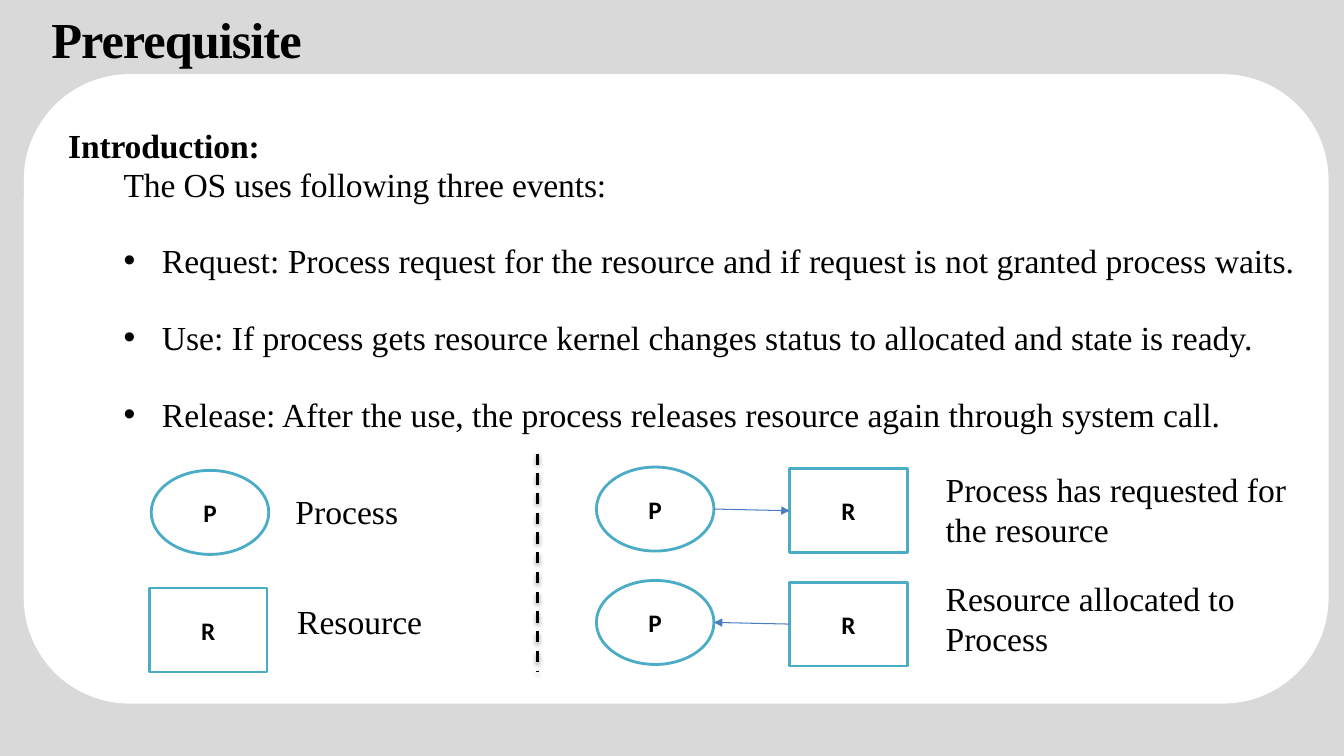
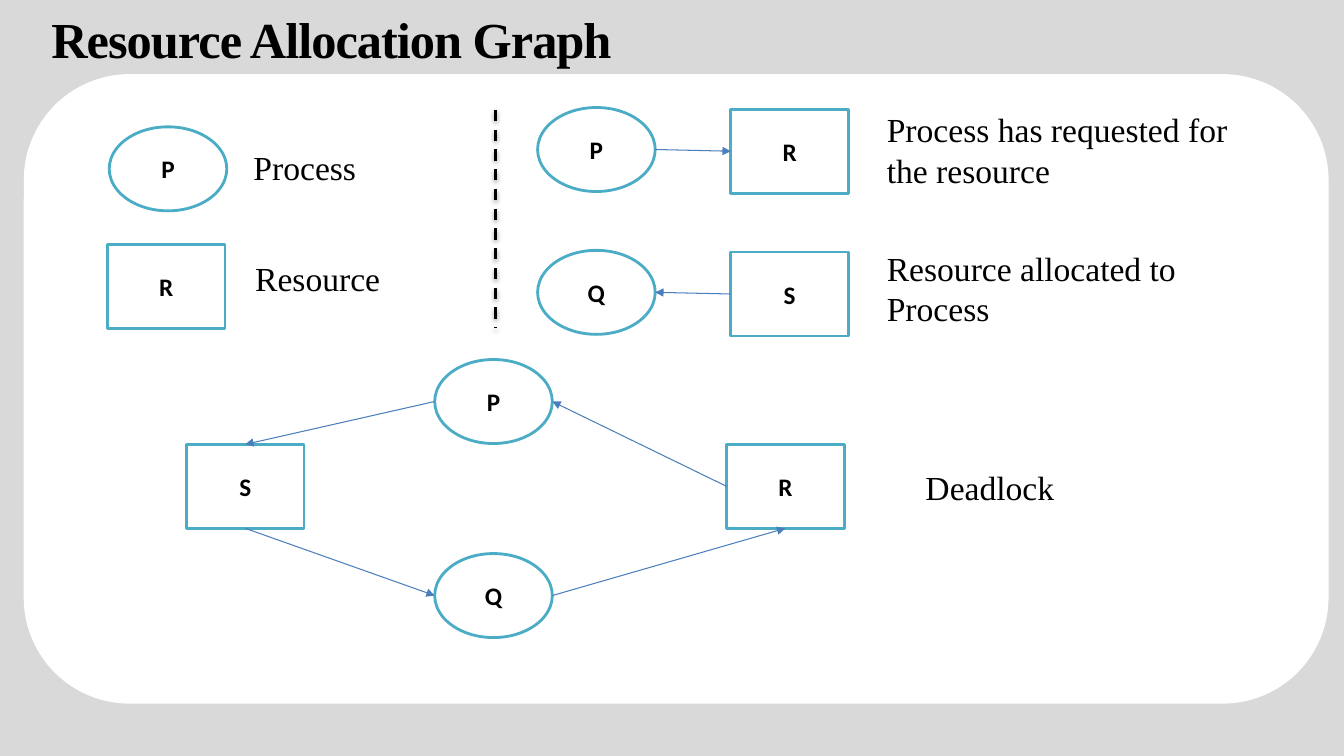
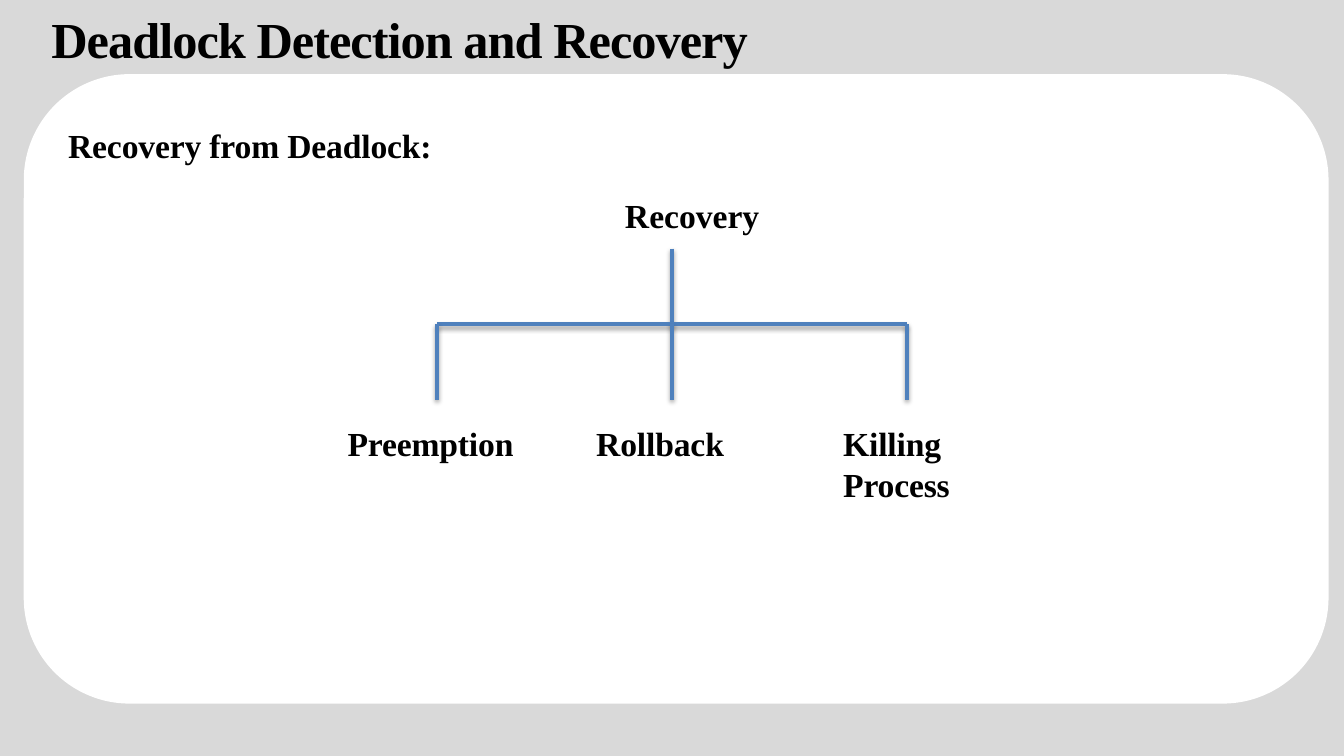
from dataclasses import dataclass

from lxml.etree import SubElement
from pptx import Presentation
from pptx.dml.color import RGBColor
from pptx.enum.dml import MSO_LINE
from pptx.enum.shapes import MSO_CONNECTOR, MSO_SHAPE
from pptx.enum.text import MSO_ANCHOR, PP_ALIGN
from pptx.oxml.ns import qn
from pptx.util import Inches, Pt

# The slide is a grid of 160 columns by 90 rows, twelve to the inch.
COLUMNS, ROWS, PER_INCH = 160, 90, 12


@dataclass(frozen=True)
class Theme:
    backdrop: str = "D9D9D9"
    panel: str = "FFFFFF"
    ink: str = "000000"
    node_line: str = "4BACC6"
    arrow: str = "4B7EBC"
    branch: str = "4F81BD"
    serif: str = "Times New Roman"
    sans: str = "Calibri"
    title: float = 36
    body: float = 24
    node: float = 18
    leading: float = 27.4
    outline: float = 2
    arrow_width: float = 0.75
    branch_width: float = 3


THEME = Theme()


@dataclass(frozen=True)
class Box:
    """A rectangle in grid units."""
    x: float
    y: float
    w: float
    h: float

    def inner(self, dx, dy, w, h):
        return Box(self.x + dx, self.y + dy, w, h)

    def side(self, name):
        fx, fy = {"left": (0, 0.5), "right": (1, 0.5),
                  "top": (0.5, 0), "bottom": (0.5, 1)}[name]
        return self.x + fx * self.w, self.y + fy * self.h

    def emu(self):
        return [grid(v) for v in (self.x, self.y, self.w, self.h)]


PANEL = Box(3, 9, 155, 74.6)
TITLE = Box(6, 0.8, 105.4, 7.4)
NODE_W, NODE_H = 14, 10


def grid(units):
    return Inches(units / PER_INCH)


def rgb(code):
    return RGBColor.from_string(code)


def style_runs(paragraph, size, font=THEME.serif, bold=False, spacing=0):
    """Format each run; spacing is the letter spacing in points."""
    for run in paragraph.runs:
        run.font.size = Pt(size)
        run.font.name = font
        run.font.bold = bold
        run.font.color.rgb = rgb(THEME.ink)
        if spacing:
            run._r.get_or_add_rPr().set("spc", str(round(spacing * 100)))


def add_frame(slide, box, flush=False):
    frame = slide.shapes.add_textbox(*box.emu()).text_frame
    frame.word_wrap = True
    if flush:
        frame.margin_right = frame.margin_bottom = 0
        frame.margin_left = frame.margin_top = Inches(0.01)
    return frame


def add_label(slide, box, text, align=PP_ALIGN.LEFT, **look):
    paragraph = add_frame(slide, box).paragraphs[0]
    paragraph.text = text
    paragraph.alignment = align
    style_runs(paragraph, THEME.body, **look)


def add_outlined(slide, kind, box, line):
    shape = slide.shapes.add_shape(kind, *box.emu())
    shape.shadow.inherit = False
    shape.fill.solid()
    shape.fill.fore_color.rgb = rgb(THEME.panel)
    shape.line.color.rgb = rgb(line)
    shape.line.width = Pt(THEME.outline)
    return shape


def add_node(slide, kind, box, letter):
    frame = add_outlined(slide, kind, box, THEME.node_line).text_frame
    frame.text = letter
    frame.vertical_anchor = MSO_ANCHOR.MIDDLE
    frame.paragraphs[0].alignment = PP_ALIGN.CENTER
    style_runs(frame.paragraphs[0], THEME.node, THEME.sans, bold=True)
    return box


def add_process(slide, area, dx, dy, letter):
    return add_node(slide, MSO_SHAPE.OVAL, area.inner(dx, dy, NODE_W, NODE_H), letter)


def add_resource(slide, area, dx, dy, letter):
    return add_node(slide, MSO_SHAPE.RECTANGLE, area.inner(dx, dy, NODE_W, NODE_H), letter)


def add_line(slide, start, end, color, width, shadow=None):
    """Draw a straight line; shadow is (opacity, distance) in XML units."""
    line = slide.shapes.add_connector(
        MSO_CONNECTOR.STRAIGHT, *[grid(v) for v in (*start, *end)])
    line.line.color.rgb = rgb(color)
    line.line.width = Pt(width)
    effects = SubElement(line._element.spPr, qn("a:effectLst"))
    if shadow:
        opacity, distance = shadow
        cast = SubElement(effects, qn("a:outerShdw"), blurRad="40000",
                          dist=str(distance), dir="5400000", rotWithShape="0")
        tint = SubElement(cast, qn("a:srgbClr"), val=THEME.ink)
        SubElement(tint, qn("a:alpha"), val=str(opacity))
    return line


def add_arrow(slide, start, end):
    line = add_line(slide, start, end, THEME.arrow, THEME.arrow_width)
    SubElement(line._element.spPr.find(qn("a:ln")), qn("a:tailEnd"), type="triangle")


def add_titled_slide(prs, title):
    slide = prs.slides.add_slide(prs.slide_layouts[6])
    add_outlined(slide, MSO_SHAPE.ROUNDED_RECTANGLE, PANEL, THEME.panel)
    paragraph = add_frame(slide, TITLE, flush=True).paragraphs[0]
    paragraph.text = title
    paragraph.space_before = Pt(1)
    style_runs(paragraph, THEME.title, bold=True, spacing=-0.7)
    return slide


def add_body(slide, box, heading, lead=None, bullets=()):
    """Write a bold heading, an indented lead and spaced bullets."""
    frame = add_frame(slide, box, flush=True)
    rows = [(heading, 1, 0, 0)]
    if lead:
        rows.append((lead, 0, 0.55, 0))
    rows += [(text, THEME.leading, 0.93, -0.38) for text in bullets]
    for index, (text, gap, margin, hanging) in enumerate(rows):
        paragraph = frame.add_paragraph() if index else frame.paragraphs[0]
        paragraph.text = text
        paragraph.alignment = PP_ALIGN.JUSTIFY
        paragraph.line_spacing = Pt(THEME.leading)
        paragraph.space_before = Pt(gap)
        properties = paragraph._p.get_or_add_pPr()
        properties.set("marL", str(Inches(margin)))
        properties.set("indent", str(Inches(hanging)))
        if hanging:
            SubElement(properties, qn("a:buFont"), typeface="Arial")
            SubElement(properties, qn("a:buChar"), char="•")
        style_runs(paragraph, THEME.body, bold=not index,
                   spacing=0 if hanging else -0.1)


def add_legend(slide, area):
    """Show the two symbols with their names and the dashed divider."""
    add_process(slide, area, 0, 0, "P")
    add_resource(slide, area, -0.2, 14, "R")
    add_label(slide, area.inner(16, 1.8, 23, 6), "Process")
    add_label(slide, area.inner(16.2, 15, 23, 6), "Resource")
    x = area.x + area.w
    divider = add_line(slide, (x, area.y - 2), (x, area.y + area.h),
                       THEME.ink, THEME.outline, shadow=(38000, 20000))
    divider.line.dash_style = MSO_LINE.DASH


def add_relations(slide, area, allocated):
    """Show a request above an allocation, one in each half of the area."""
    rows = [("P", "R", "Process has requested for the resource", -0.4),
            (*allocated, "Resource allocated to Process", -0.9)]
    for index, (holder, held, meaning, shift) in enumerate(rows):
        top = index * area.h / 2
        process = add_process(slide, area, 0, top, holder).side("right")
        resource = add_resource(slide, area, 23, top + 0.2, held).side("left")
        ends = (resource, process) if index else (process, resource)
        add_arrow(slide, *ends)
        add_label(slide, area.inner(40.4, top + shift, 45.6, 10.9), meaning)


def add_deadlock_cycle(slide, area):
    middle = (area.w - NODE_W) / 2 - 2.6
    low = area.h - NODE_H
    p = add_process(slide, area, middle, 0, "P")
    q = add_process(slide, area, middle, low, "Q")
    s = add_resource(slide, area, 0, 10.1, "S")
    r = add_resource(slide, area, area.w - NODE_W, 10.1, "R")
    for start, end in [(p.side("left"), s.side("top")),
                       (s.side("bottom"), q.side("left")),
                       (q.side("right"), r.side("bottom")),
                       (r.side("left"), p.side("right"))]:
        add_arrow(slide, start, end)
    add_label(slide, area.inner(area.w + 8.5, 12.2, 45.6, 6), "Deadlock")


def add_recovery_tree(slide, area):
    """Draw a stem, a bar and equal drops, with the names around them."""
    add_label(slide, area.inner(2.4, -7, 56, 6), "Recovery", PP_ALIGN.CENTER, bold=True)
    center, bar = area.x + area.w / 2, area.y + area.h / 2
    bottom = area.y + area.h
    branches = [("Preemption", -11.8, 23.5, 6), ("Rollback", -10.2, 20.4, 6),
                ("Killing Process", -8.8, 22.3, 10.9)]
    drops = [area.x + i * area.w / (len(branches) - 1) for i in range(len(branches))]
    segments = [((center, area.y), (center, bar)),
                ((drops[-1], bar), (drops[0], bar))]
    segments += [((x, bar), (x, bottom)) for x in drops]
    for start, end in segments:
        add_line(slide, start, end, THEME.branch, THEME.branch_width,
                 shadow=(35000, 23000))
    for x, (name, shift, width, height) in zip(drops, branches):
        add_label(slide, Box(x + shift, bottom + 2.2, width, height), name,
                  bold=True, spacing=-0.1)


def build_prerequisite(prs):
    slide = add_titled_slide(prs, "Prerequisite")
    add_body(slide, Box(8, 15, 149, 36.6), "Introduction:",
             "The OS uses following three events:", [
                 "Request: Process request for the resource and if request is not granted process waits.",
                 "Use: If process gets resource kernel changes status to allocated and state is ready.",
                 "Release: After the use, the process releases resource again through system call."])
    add_legend(slide, Box(18, 56, 46, 24))
    add_relations(slide, Box(71, 55.6, 86, 27), ("P", "R"))


def build_allocation_graph(prs):
    slide = add_titled_slide(prs, "Resource Allocation Graph")
    add_legend(slide, Box(13, 15.1, 46, 24))
    add_relations(slide, Box(64, 12.8, 86, 34), ("Q", "S"))
    add_deadlock_cycle(slide, Box(22.2, 42.8, 78.3, 33.1))


def build_recovery(prs):
    slide = add_titled_slide(prs, "Deadlock Detection and Recovery")
    add_body(slide, Box(8, 15, 143, 9.5), "Recovery from Deadlock:")
    add_recovery_tree(slide, Box(52, 29.6, 56, 18))


def main():
    prs = Presentation()
    prs.slide_width, prs.slide_height = grid(COLUMNS), grid(ROWS)
    backdrop = prs.slide_master.background.fill
    backdrop.solid()
    backdrop.fore_color.rgb = rgb(THEME.backdrop)
    for build in (build_prerequisite, build_allocation_graph, build_recovery):
        build(prs)
    prs.save("out.pptx")


if __name__ == "__main__":
    main()
